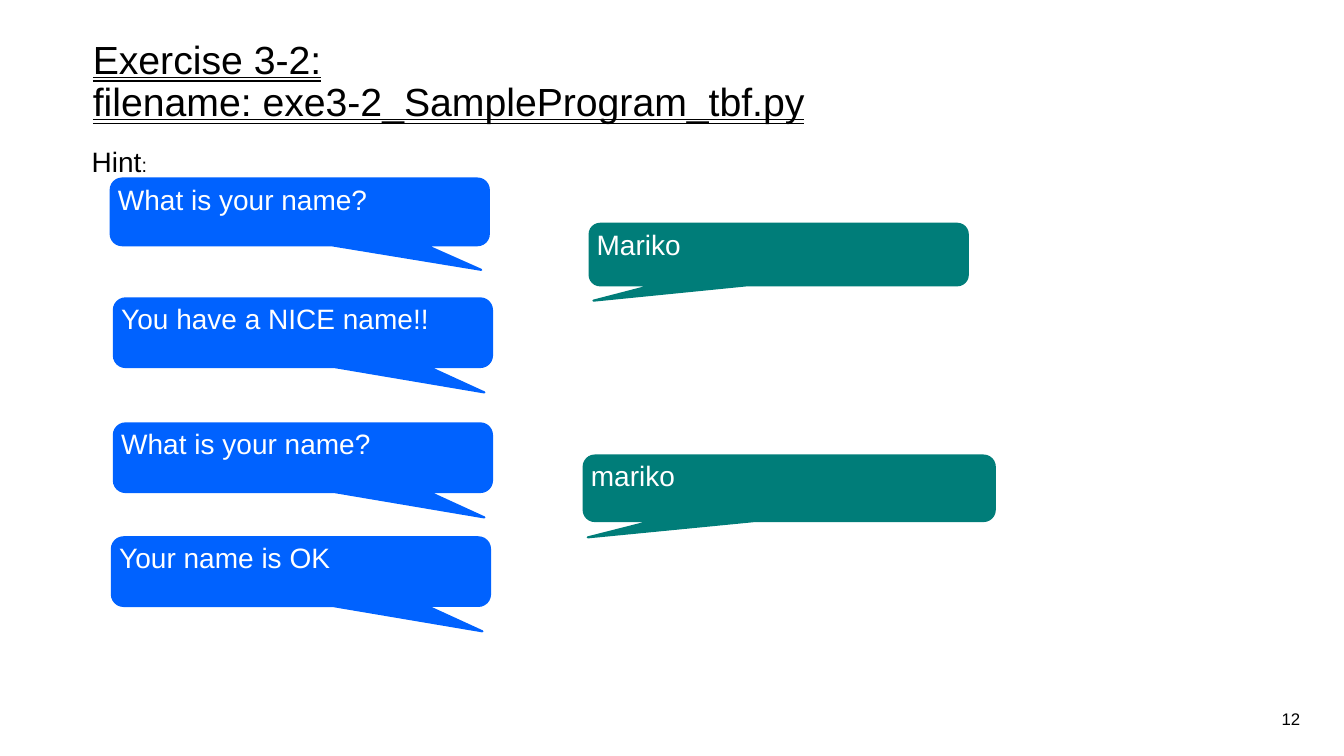
import pptx
import pptx.util
import pptx.dml.color
import pptx.enum.shapes
import pptx.enum.text
from pptx.util import Cm, Pt

ALIGN = pptx.enum.text.PP_ALIGN
ANCHOR = pptx.enum.text.MSO_ANCHOR
AUTO_SIZE = pptx.enum.text.MSO_AUTO_SIZE
CALLOUT = pptx.enum.shapes.MSO_SHAPE.ROUNDED_RECTANGULAR_CALLOUT
DOUBLE = pptx.enum.text.MSO_UNDERLINE.DOUBLE_LINE

# Content: boxes are left, top, width, height in cm
TITLE_LINES = ["Exercise 3-2:", "filename: exe3-2_SampleProgram_tbf.py"]
HINT = [("Hint", 20), (":", 14)]
PAGE_NUMBER = "12"
BLACK, WHITE = "000000", "FFFFFF"

SPEAKERS = {
    "program": {"color": "0062FF", "tail": (0.48, 0.87, 0.17)},
    "user": {"color": "007D79", "tail": (-0.49, 0.75, 0.17)},
}
DIALOGUE = [
    ("program", "What is your name?", (2.79, 4.5, 9.53, 1.68)),
    ("user", "Mariko", (14.86, 5.64, 9.53, 1.55)),
    ("program", "You have a NICE name!!", (2.87, 7.52, 9.53, 1.73)),
    ("user", "mariko", (14.71, 11.48, 10.36, 1.65)),
    ("program", "What is your name?", (2.87, 10.67, 9.53, 1.73)),
    ("program", "Your name is OK", (2.82, 13.54, 9.53, 1.73)),
]


def rgb(color):
    return pptx.dml.color.RGBColor.from_string(color)


def set_all(target, formats):
    for key, value in formats.items():
        setattr(target, key, value)


def set_frame(frame, inset=None, **formats):
    set_all(frame, {"word_wrap": True, "vertical_anchor": ANCHOR.TOP, **formats})
    if inset is not None:
        sides = ("left", "top", "right", "bottom")
        set_all(frame, {f"margin_{side}": Cm(inset) for side in sides})


def write(paragraph, words, size, color=BLACK, **formats):
    run = paragraph.add_run()
    run.text = words
    set_all(run.font, {"name": "Arial", "size": Pt(size), **formats})
    run.font.color.rgb = rgb(color)


def add_text(slide, box, **formats):
    frame = slide.shapes.add_textbox(*map(Cm, box)).text_frame
    set_frame(frame, **formats)
    return frame.paragraphs[0]


def add_bubble(slide, speaker, words, box):
    style = SPEAKERS[speaker]
    bubble = slide.shapes.add_shape(CALLOUT, *map(Cm, box))
    bubble.shadow.inherit = False
    for index, amount in enumerate(style["tail"]):
        bubble.adjustments[index] = amount
    bubble.fill.solid()
    bubble.fill.fore_color.rgb = rgb(style["color"])
    bubble.line.color.rgb = rgb(style["color"])
    bubble.line.width = Pt(1.5)
    set_frame(bubble.text_frame, inset=0.1)
    line = bubble.text_frame.paragraphs[0]
    set_all(line, {"alignment": ALIGN.LEFT, "line_spacing": 0.9})
    write(line, words, 20, WHITE)


def main():
    deck = pptx.Presentation()
    set_all(deck, {"slide_width": Cm(33.87), "slide_height": Cm(19.05)})
    slide = deck.slides.add_slide(deck.slide_layouts[6])

    # Page number
    number = add_text(slide, (26.24, 17.73, 6.78, 0.61))
    number.alignment = ALIGN.RIGHT
    write(number, PAGE_NUMBER, 12)

    # Dialogue
    for speaker, words, box in DIALOGUE:
        add_bubble(slide, speaker, words, box)

    # Hint
    hint = add_text(slide, (2.06, 3.51, 2.06, 1.12),
                    auto_size=AUTO_SIZE.SHAPE_TO_FIT_TEXT)
    for words, size in HINT:
        write(hint, words, size)

    # Title
    title = add_text(slide, (2.34, 1.02, 29.21, 1.98), inset=0)
    title.line_spacing = 0.9
    for index, words in enumerate(TITLE_LINES):
        if index:
            title.add_line_break()
        write(title, words, 28, underline=DOUBLE)

    deck.save("out.pptx")


if __name__ == "__main__":
    main()
